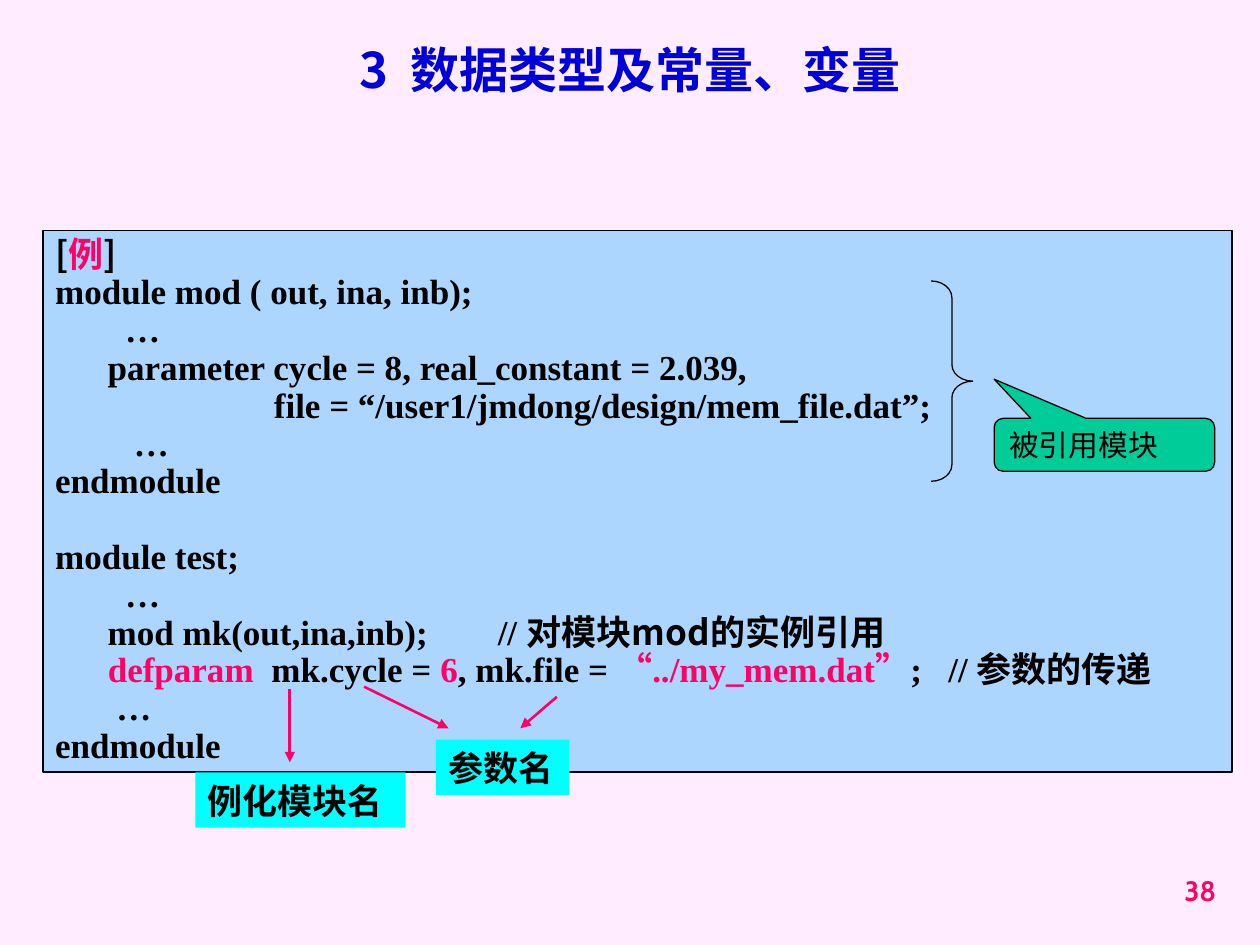
from collections import namedtuple

from lxml import etree
from pptx import Presentation
from pptx import util as u
from pptx.dml.color import RGBColor
from pptx.enum import shapes, text
from pptx.oxml.ns import qn

COLORS = {"page": "FFEDFF", "panel": "ADD6FF", "title": "0000D8", "accent": "FF0066",
          "ink": "000000", "callout": "00CC99", "label": "00FFFF"}
SERIF, SANS, BODY = "Times New Roman", "Noto Sans CJK SC", "Cabin"
COLUMNS, ROWS = 100, 75  # grid cells across and down the slide
SLIDE_WIDTH, SLIDE_HEIGHT = u.Inches(10), u.Inches(7.5)

Box = namedtuple("Box", "left top width height")
Run = namedtuple("Run", "text color font", defaults=("ink", SERIF))

CODE = [
    [Run("[", font=SANS), Run("例", "accent"), Run("]", font=SANS)],
    [Run("module mod ( out, ina, inb);")],
    [Run("        …")],
    [Run("      parameter cycle = 8, real_constant = 2.039,")],
    [Run("                         file = “/user1/jmdong/design/mem_file.dat”;")],
    [Run("         …")],
    [Run("endmodule")],
    [],
    [Run("module test;")],
    [Run("        …")],
    [Run("      mod mk(out,ina,inb);        // "), Run("对模块mod的实例引用", font=SANS)],
    [Run("      "), Run("defparam", "accent"), Run("  mk.cycle = "), Run("6", "accent"),
     Run(", mk.file = "), Run("“", "accent", SANS), Run("../my_mem.dat", "accent"),
     Run("”", "accent", SANS), Run(";   // "), Run("参数的传递", font=SANS)],
    [Run("       …")],
    [Run("endmodule")],
]


def rgb(name):
    return RGBColor.from_string(COLORS[name])


def within(box, left, top, width, height):
    """Box placed in grid cells from the corner of another box."""
    return Box(box.left + left, box.top + top, width, height)


def emu(box):
    cell_width, cell_height = SLIDE_WIDTH / COLUMNS, SLIDE_HEIGHT / ROWS
    return [round(length * cell) for length, cell in
            zip(box, (cell_width, cell_height, cell_width, cell_height))]


def write(frame, lines, size, bold=True, wrap=True, **paragraph_format):
    """Fill a text frame with lines of runs, standing on its bottom edge."""
    frame_format = {"word_wrap": wrap, "vertical_anchor": text.MSO_ANCHOR.BOTTOM,
                    "auto_size": text.MSO_AUTO_SIZE.NONE}
    for key, value in frame_format.items():
        setattr(frame, key, value)
    for index, line in enumerate(lines):
        paragraph = frame.add_paragraph() if index else frame.paragraphs[0]
        for key, value in ({"alignment": text.PP_ALIGN.LEFT} | paragraph_format).items():
            setattr(paragraph, key, value)
        paragraph.font.size = u.Pt(size)
        for part in line:
            run = paragraph.add_run()
            run.text = part.text
            font_format = {"size": u.Pt(size), "bold": bold, "name": part.font}
            for key, value in font_format.items():
                setattr(run.font, key, value)
            run.font.color.rgb = rgb(part.color)
            east_asian = etree.SubElement(run.font._element, qn("a:ea"))
            east_asian.set("typeface", SANS)


def add_block(slide, kind, box, fill=None, line_width=0):
    block = slide.shapes.add_shape(kind, *emu(box))
    block.shadow.inherit = False
    if fill:
        block.fill.solid()
        block.fill.fore_color.rgb = rgb(fill)
    else:
        block.fill.background()
    if line_width:
        block.line.color.rgb = rgb("ink")
        block.line.width = u.Pt(line_width)
    else:
        block.line.fill.background()
    return block


def add_arrow(slide, box):
    """Arrow across the box; a negative width points it leftwards."""
    left, top, width, height = emu(box)
    arrow = slide.shapes.add_connector(shapes.MSO_CONNECTOR.STRAIGHT,
                                       left, top, left + width, top + height)
    arrow.line.color.rgb = rgb("accent")
    arrow.line.width = u.Pt(1.5)
    etree.SubElement(arrow.line._get_or_add_ln(), qn("a:tailEnd")).set("type", "triangle")
    etree.SubElement(arrow._element.spPr, qn("a:effectLst"))


def add_title(slide, box):
    title = slide.shapes.title
    title.left, title.top, title.width, title.height = emu(box)
    write(title.text_frame, [[Run("3  数据类型及常量、变量", "title", SANS)]], 28,
          alignment=text.PP_ALIGN.CENTER)


def add_page_number(slide, box):
    number = slide.shapes.add_textbox(*emu(box))
    write(number.text_frame, [[Run("38", "accent", BODY)]], 16,
          alignment=text.PP_ALIGN.RIGHT)


def add_code_panel(slide, box):
    panel = add_block(slide, shapes.MSO_SHAPE.RECTANGLE, box, "panel", 1)
    write(panel.text_frame, CODE, 20, wrap=False, line_spacing=0.9)


def add_module_note(slide, box):
    """Brace around the first module and the callout that names it."""
    brace = add_block(slide, shapes.MSO_SHAPE.RIGHT_BRACE,
                      within(box, 0, 0, 3.3, box.height), line_width=0.75)
    brace.adjustments[0] = 0.4
    callout = add_block(slide, shapes.MSO_SHAPE.ROUNDED_RECTANGULAR_CALLOUT,
                        within(box, 5, 10.9, 17.5, 4.2), "callout", 0.75)
    for index, value in enumerate((-0.5, -1.24, 0.17)):
        callout.adjustments[index] = value
    write(callout.text_frame, [[Run("被引用模块", font=BODY)]], 17, bold=False)


def add_label(slide, box, wording, arrows):
    """Name tag with the arrows that lead to it, each relative to the tag."""
    label = add_block(slide, shapes.MSO_SHAPE.RECTANGLE, box, "label")
    write(label.text_frame, [[Run(wording, font=BODY)]], 20, wrap=False)
    for arrow in arrows:
        add_arrow(slide, within(box, *arrow))


def main():
    deck = Presentation()
    deck.slide_width, deck.slide_height = SLIDE_WIDTH, SLIDE_HEIGHT
    slide = deck.slides.add_slide(deck.slide_layouts[5])
    slide.background.fill.solid()
    slide.background.fill.fore_color.rgb = rgb("page")

    panel = Box(3.4, 18.3, 94.4, 43)
    add_page_number(slide, Box(76.7, 67.5, 20.8, 5))
    add_code_panel(slide, panel)
    add_title(slide, Box(7.5, 0.9, 85, 7.4))
    add_module_note(slide, within(panel, 70.5, 4, 22.5, 15.9))
    add_label(slide, within(panel, 31.2, 40.4, 10.6, 4.4), "参数名",
              [(-5.7, -4.2, 6.7, 3.3), (9.6, -3.4, -2.9, 2.5)])
    add_label(slide, within(panel, 12.1, 43, 16.7, 4.4), "例化模块名",
              [(7.5, -6.6, 0, 5.8)])
    deck.save("out.pptx")


if __name__ == "__main__":
    main()
